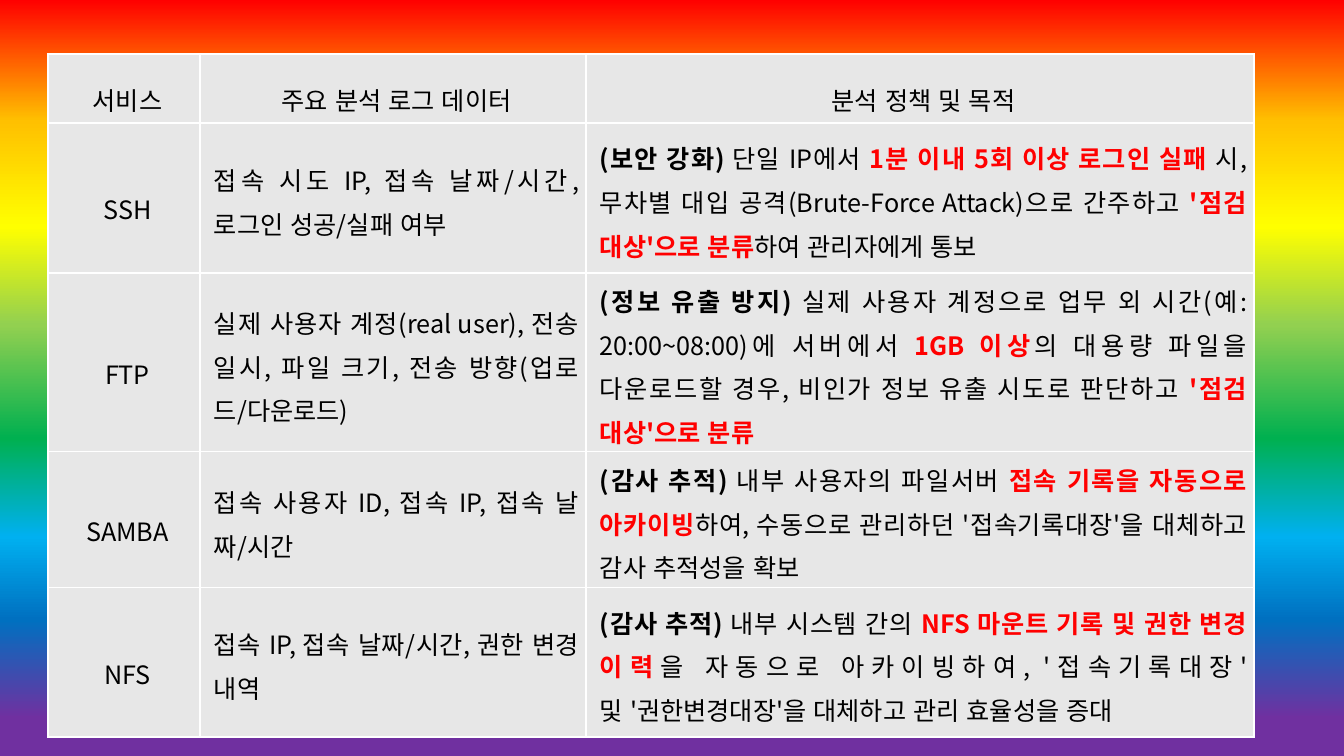
from dataclasses import dataclass

from lxml import etree
from pptx import Presentation
from pptx import util as u
from pptx.dml import color
from pptx.enum import lang, text
from pptx.oxml import ns

EMU_PER_PX = u.Inches(1) / 100.8


def px(length):
    return u.Emu(round(length * EMU_PER_PX))


@dataclass(frozen=True)
class Theme:
    font: str = "Noto Sans CJK KR"
    size: int = 18
    ink: str = "000000"
    alert: str = "FF0000"
    cell: str = "E7E7E7"
    border: str = "FFFFFF"
    rainbow: tuple = ((0, "FF0000"), (16, "FFC000"), (30, "FFFF00"), (43, "92D050"),
                      (58, "00B050"), (71, "00B0F0"), (82, "0070C0"), (95, "7030A0"))


def add_child(parent, tag, **attributes):
    return etree.SubElement(parent, ns.qn(tag), **attributes)


class SlideBuilder:
    def __init__(self, slide, theme):
        self.slide = slide
        self.theme = theme

    def background(self):
        fill = self.slide.background.fill
        fill.gradient()
        fill.gradient_angle = 270
        stops = next(self.slide.element.iter(ns.qn("a:gsLst")))
        for stop in list(stops):
            stops.remove(stop)
        for percent, rgb in self.theme.rainbow:
            stop = add_child(stops, "a:gs", pos=str(percent * 1000))
            add_child(stop, "a:srgbClr", val=rgb)

    def run(self, paragraph, words, style):
        run = paragraph.add_run()
        run.text = words
        font = run.font
        font.size = u.Pt(self.theme.size)
        font.bold = style != PLAIN
        font.language_id = lang.MSO_LANGUAGE_ID.KOREAN
        font.color.rgb = color.RGBColor.from_string(
            self.theme.alert if style == ALERT else self.theme.ink)
        font.name = self.theme.font
        add_child(run._r.get_or_add_rPr(), "a:ea", typeface=self.theme.font)

    def borders(self, cell):
        properties = cell._tc.get_or_add_tcPr()
        for index, side in enumerate(("a:lnL", "a:lnR", "a:lnT", "a:lnB")):
            line = etree.Element(ns.qn(side), w=str(u.Pt(1)))
            add_child(add_child(line, "a:solidFill"), "a:srgbClr", val=self.theme.border)
            properties.insert(index, line)

    def cell(self, cell, runs, centred):
        cell.fill.solid()
        cell.fill.fore_color.rgb = color.RGBColor.from_string(self.theme.cell)
        self.borders(cell)
        cell.vertical_anchor = text.MSO_ANCHOR.MIDDLE
        cell.margin_left = cell.margin_right = px(7)
        cell.margin_top = cell.margin_bottom = px(2)
        paragraph = cell.text_frame.paragraphs[0]
        paragraph.alignment = text.PP_ALIGN.CENTER if centred else text.PP_ALIGN.JUSTIFY
        paragraph.line_spacing = 1.6 if centred else 1.2
        paragraph.space_after = u.Pt(4)
        properties = paragraph._p.get_or_add_pPr()
        properties.set("marL", str(px(7)))
        properties.set("indent", "0")
        for words, style in runs:
            self.run(paragraph, words, style)

    def table(self, left, top, widths, heights, rows):
        table = self.slide.shapes.add_table(
            len(rows), len(widths), px(left), px(top),
            px(sum(widths)), px(sum(heights))).table
        table.first_row = table.horz_banding = False
        for column, width in zip(table.columns, widths):
            column.width = px(width)
        for row, height in zip(table.rows, heights):
            row.height = px(height)
        for r, contents in enumerate(rows):
            for c, content in enumerate(contents):
                runs = [(content, PLAIN)] if isinstance(content, str) else content
                self.cell(table.cell(r, c), runs, centred=r == 0 or c == 0)


PLAIN, BOLD, ALERT = "plain", "bold", "alert"

# Service, log data, analysis policy
POLICY_ROWS = [
    ("서비스", "주요 분석 로그 데이터", "분석 정책 및 목적"),
    ("SSH", "접속 시도 IP, 접속 날짜/시간, 로그인 성공/실패 여부", [
        ("(보안 강화) ", BOLD),
        ("단일 IP에서 ", PLAIN),
        ("1분 이내 5회 이상 로그인 실패 ", ALERT),
        ("시, 무차별 대입 공격(Brute-Force Attack)으로 간주하고 ", PLAIN),
        ("'점검 대상'으로 분류", ALERT),
        ("하여 관리자에게 통보", PLAIN)]),
    ("FTP", "실제 사용자 계정(real user), 전송 일시, 파일 크기, 전송 방향(업로드/다운로드)", [
        ("(정보 유출 방지) ", BOLD),
        ("실제 사용자 계정으로 업무 외 시간(예: 20:00~08:00)에 서버에서 ", PLAIN),
        ("1GB 이상", ALERT),
        ("의 대용량 파일을 다운로드할 경우, 비인가 정보 유출 시도로 판단하고 ", PLAIN),
        ("'점검 대상'으로 분류", ALERT)]),
    ("SAMBA", "접속 사용자 ID, 접속 IP, 접속 날짜/시간", [
        ("(감사 추적)", BOLD),
        (" 내부 사용자의 파일서버 ", PLAIN),
        ("접속 기록을 자동으로 아카이빙", ALERT),
        ("하여, 수동으로 관리하던 '접속기록대장'을 대체하고 감사 추적성을 확보", PLAIN)]),
    ("NFS", "접속 IP, 접속 날짜/시간, 권한 변경 내역", [
        ("(감사 추적)", BOLD),
        (" 내부 시스템 간의 ", PLAIN),
        ("NFS 마운트 기록 및 권한 변경 이력", ALERT),
        ("을 자동으로 아카이빙하여, '접속기록대장' 및 '권한변경대장'을 대체하고 관리 효율성을 증대",
         PLAIN)]),
]


def main():
    presentation = Presentation()
    presentation.slide_width, presentation.slide_height = px(1344), px(756)
    slide = presentation.slides.add_slide(presentation.slide_layouts[6])
    builder = SlideBuilder(slide, Theme())

    # Rainbow backdrop
    builder.background()

    # Log analysis policy table
    builder.table(48, 54, (152, 386, 668), (69, 150, 149, 131, 150), POLICY_ROWS)

    presentation.save("out.pptx")


if __name__ == "__main__":
    main()
